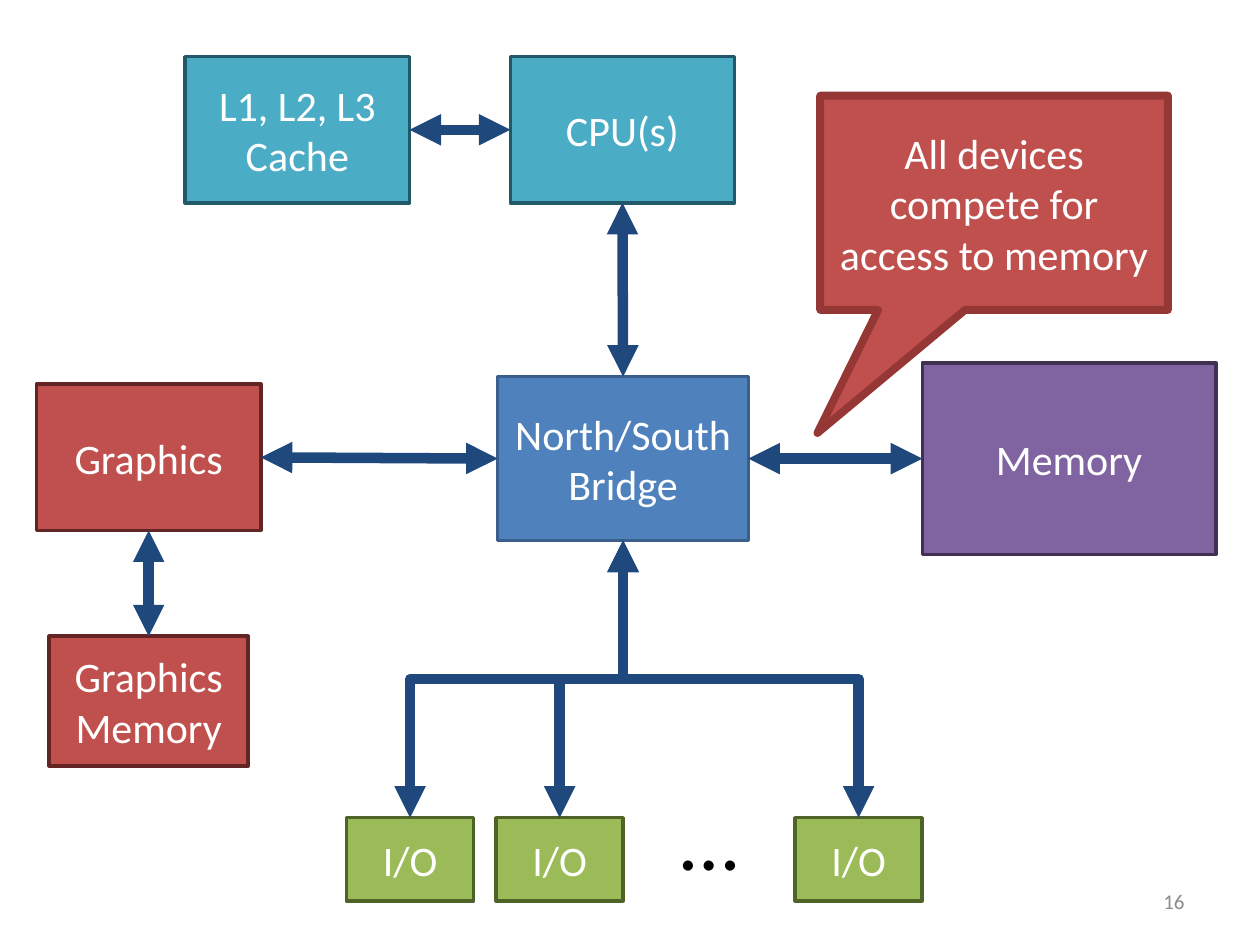
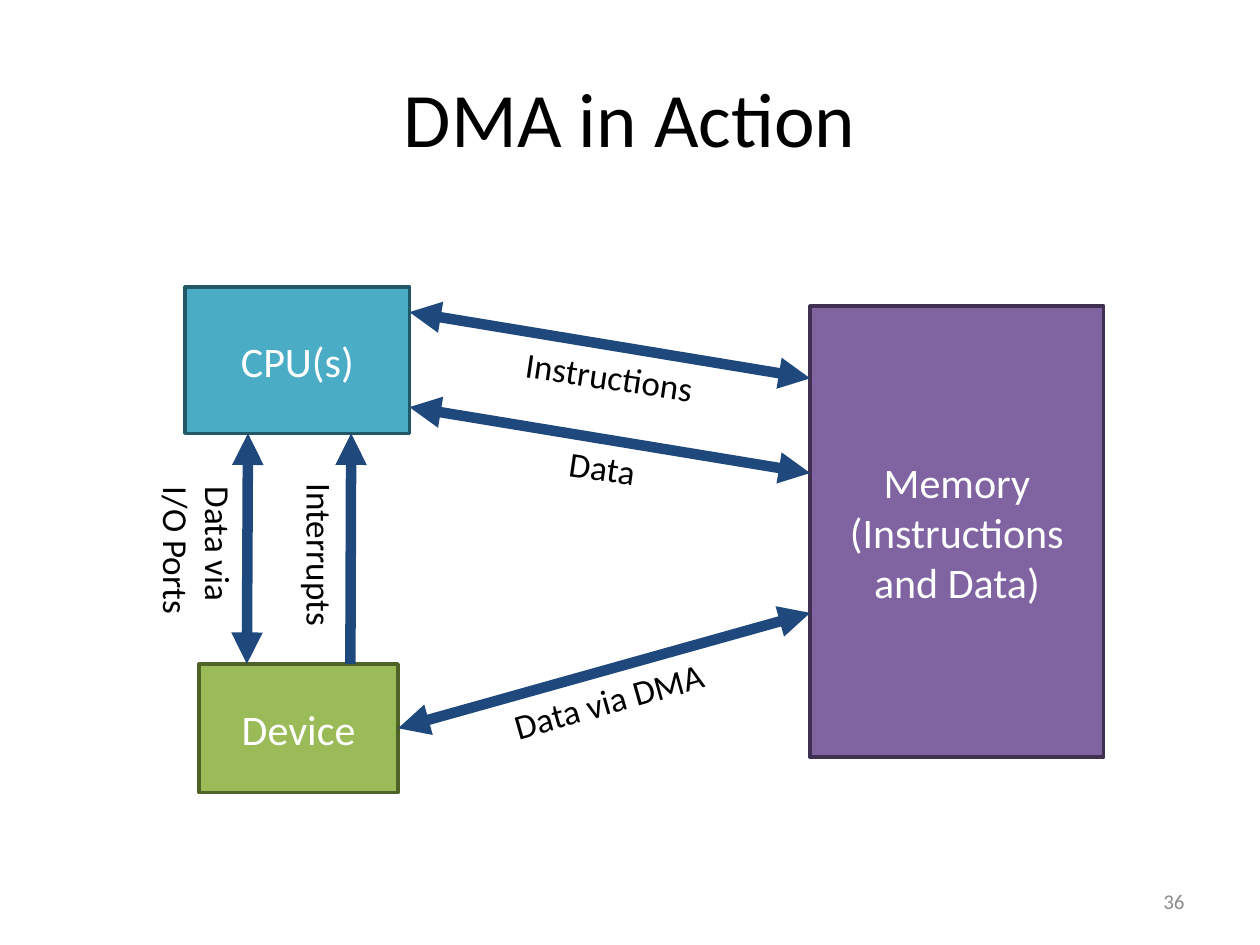
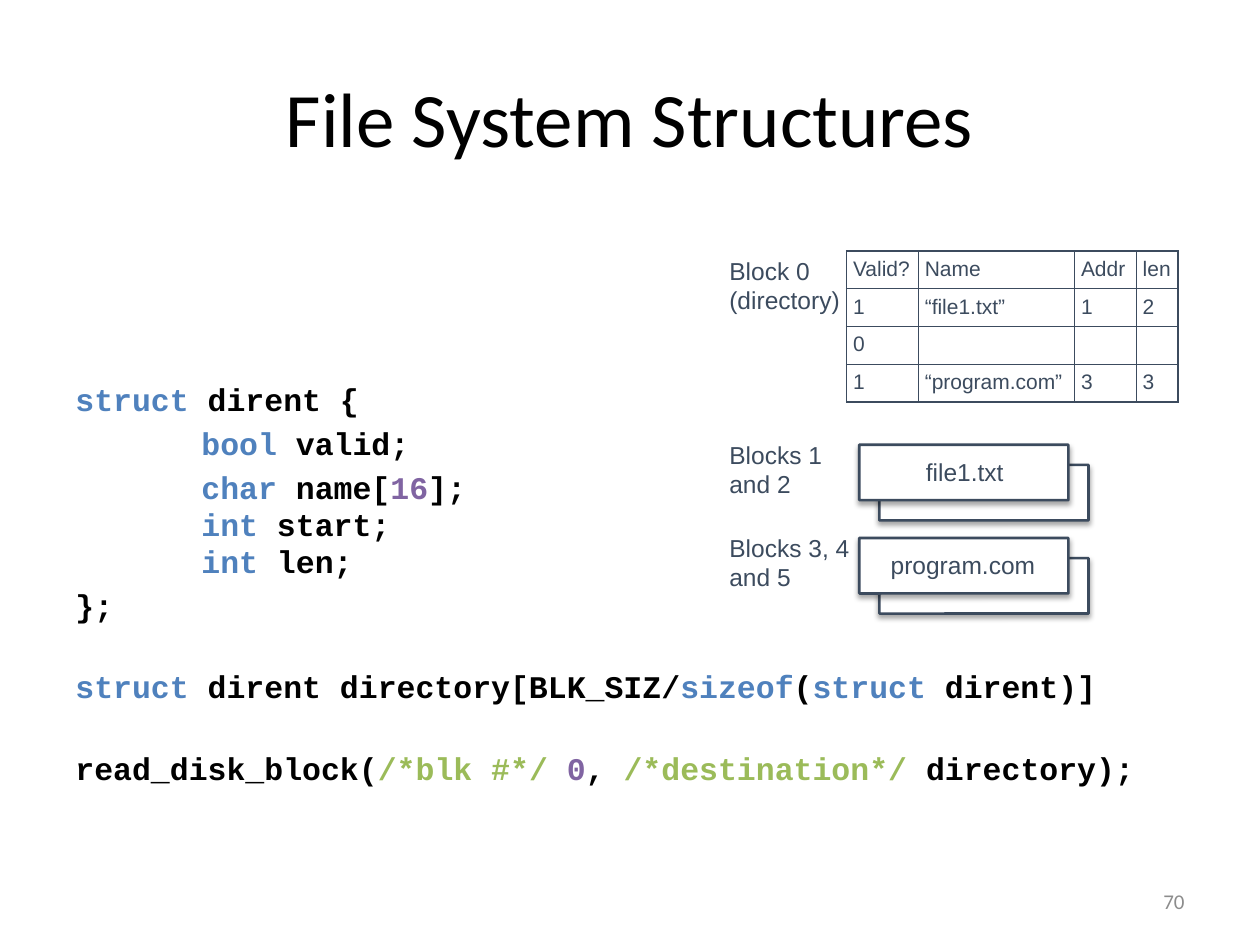
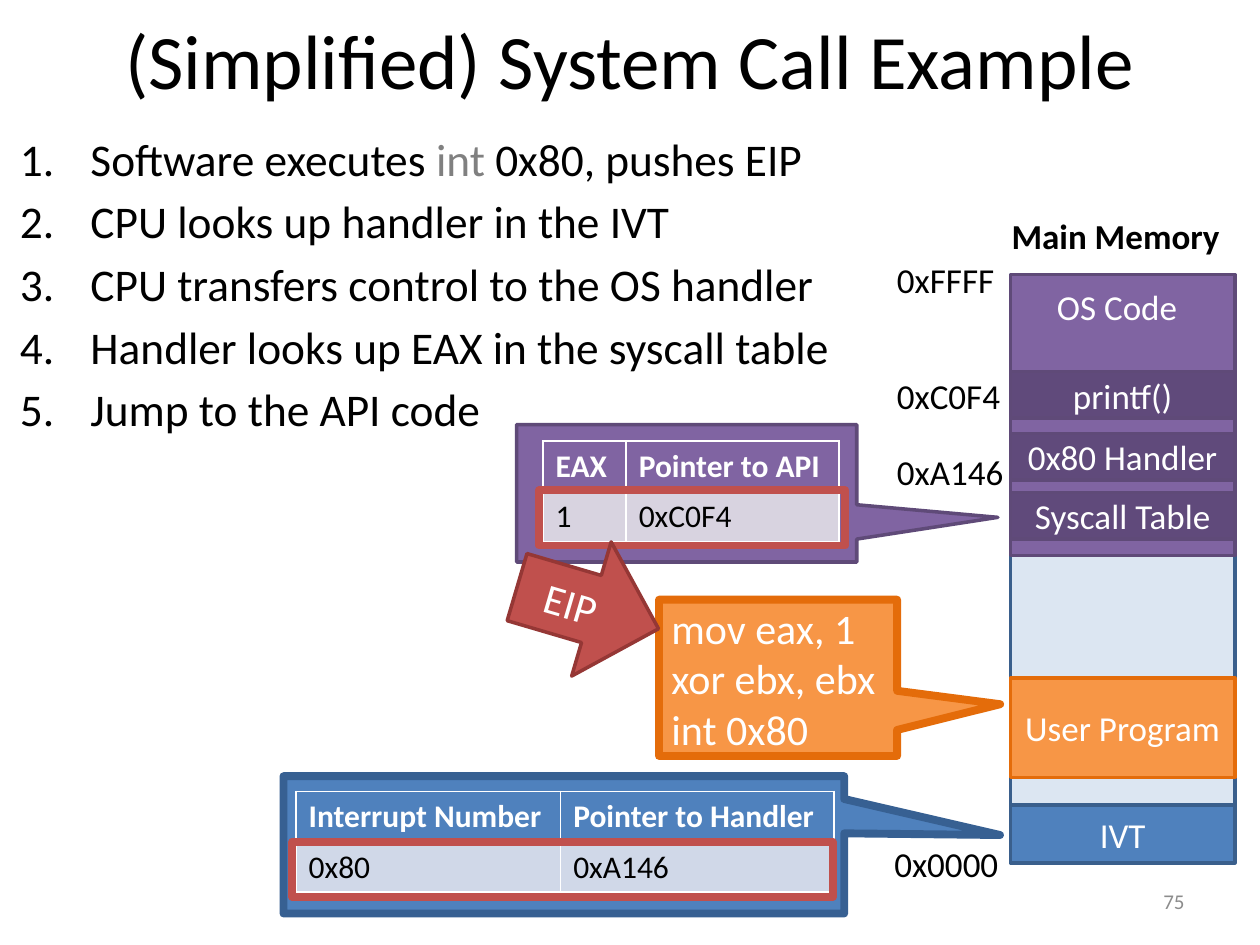
from dataclasses import dataclass

from lxml import etree
from pptx import Presentation
from pptx.dml.color import RGBColor
from pptx.enum.shapes import MSO_CONNECTOR, MSO_SHAPE
from pptx.enum.text import MSO_ANCHOR, PP_ALIGN
from pptx.oxml.ns import qn
from pptx.util import Emu, Pt

RECT = MSO_SHAPE.RECTANGLE
ROUND = MSO_SHAPE.ROUNDED_RECTANGLE
BUBBLE = MSO_SHAPE.RECTANGULAR_CALLOUT
ARROW = MSO_SHAPE.RIGHT_ARROW
STRAIGHT, ELBOW = MSO_CONNECTOR.STRAIGHT, MSO_CONNECTOR.ELBOW
LEFT, CENTER, RIGHT = PP_ALIGN.LEFT, PP_ALIGN.CENTER, PP_ALIGN.RIGHT
TOP, MIDDLE = MSO_ANCHOR.TOP, MSO_ANCHOR.MIDDLE

PX = 9144  # 100 px to the inch


@dataclass(frozen=True)
class Theme:
    # fill and line pairs
    hub: tuple = ("4F81BD", "3A5F8C")
    red: tuple = ("C0504D", "632523")
    alert: tuple = ("C0504D", "953735")
    green: tuple = ("9BBB59", "4F6228")
    purple: tuple = ("8064A2", "403152")
    teal: tuple = ("4BACC6", "215968")
    kernel: tuple = ("8064A2", "5F4A78")
    entry: tuple = ("604A7B", "5F4A78")
    user: tuple = ("F79646", "E46C0A")
    free: tuple = ("DCE6F2", "3A5F8C")
    vector: tuple = ("4F81BD", "376092")
    disk: tuple = ("FFFFFF", "3C4B5E")
    mark: tuple = (None, "C0504D")
    # single colours
    ink: str = "000000"
    white: str = "FFFFFF"
    grey: str = "808080"
    folio: str = "8C8C8C"
    slate: str = "3C4B5E"
    wire: str = "1F497D"
    word: str = "4F81BD"
    number: str = "8064A2"
    note: str = "9BBB59"
    blue_row: str = "D0D8E8"
    plum_row: str = "D8D3E0"
    # fonts
    main: str = "Calibri"
    sans: str = "Arial"
    mono: str = "Courier New"
    # type sizes, points
    title: float = 44
    dots: float = 48
    list: float = 25.9
    box: float = 24
    label: float = 20
    code: float = 18
    block: float = 14
    small: float = 12
    # line widths, points
    thin: float = 1
    edge: float = 2
    bold: float = 4.5
    cable: float = 6


T = Theme()


def emu(*sizes):
    return [Emu(round(size * PX)) for size in sizes]


def rgb(color):
    return RGBColor.from_string(color)


def part(box, dx, dy, w, h):
    """Box of the given size, offset from the corner of another."""
    return box[0] + dx, box[1] + dy, w, h


def spot(box, fx, fy):
    """Point at a fraction of the width and height of a box."""
    return box[0] + box[2] * fx, box[1] + box[3] * fy


def write(frame, paras, size=T.box, color=T.white, font=T.main, bold=False,
          align=CENTER, anchor=MIDDLE):
    """Fill a frame; a paragraph is a string or a list of (text, colour)."""
    frame.vertical_anchor = anchor
    for i, runs in enumerate(paras):
        para = frame.paragraphs[0] if i == 0 else frame.add_paragraph()
        para.alignment = align
        for text, tint in [(runs, color)] if isinstance(runs, str) else runs:
            run = para.add_run()
            run.text = text
            run.font.name, run.font.size = font, Pt(size)
            run.font.bold = bold
            run.font.color.rgb = rgb(tint)
    return frame.paragraphs


def label(slide, box, *paras, turn=0, wrap=False, size=T.label, color=T.ink,
          align=LEFT, anchor=TOP, **look):
    shape = slide.shapes.add_textbox(*emu(*box))
    shape.rotation = turn
    shape.text_frame.word_wrap = wrap
    return write(shape.text_frame, paras, size, color, align=align,
                 anchor=anchor, **look)


def block(slide, box, pair, *paras, kind=RECT, edge=T.edge, adj=(), turn=0,
          **look):
    shape = slide.shapes.add_shape(kind, *emu(*box))
    shape.shadow.inherit = False
    shape.rotation = turn
    for i, value in enumerate(adj):
        shape.adjustments[i] = value
    fill, line = pair
    if fill:
        shape.fill.solid()
        shape.fill.fore_color.rgb = rgb(fill)
    else:
        shape.fill.background()
    shape.line.color.rgb = rgb(line)
    shape.line.width = Pt(edge)
    write(shape.text_frame, paras, **look)
    return shape


def cable(slide, kind, start, end, ends=("headEnd", "tailEnd")):
    link = slide.shapes.add_connector(kind, *emu(*start, *end))
    link.line.color.rgb = rgb(T.wire)
    link.line.width = Pt(T.cable)
    props = link._element.spPr
    for name in ends:
        etree.SubElement(props.find(qn("a:ln")), qn("a:" + name),
                         type="triangle")
    etree.SubElement(props, qn("a:effectLst"))
    return link


def wire(slide, start, end, **look):
    cable(slide, STRAIGHT, start, end, **look)


def branch(slide, start, end):
    """Elbow that leaves and arrives upright: a turned level elbow."""
    (x0, y0), (x1, y1) = start, end
    mid, half = (x0 + x1) / 2, (y1 - y0) / 2
    top, drop = (y0 + y1) / 2, abs(x1 - x0) / 2
    side = half if x1 < x0 else -half
    link = cable(slide, ELBOW, (mid - side, top - drop),
                 (mid + side, top + drop))
    angle = 90 if x1 < x0 else 270
    link._element.spPr.find(qn("a:xfrm")).set("rot", str(angle * 60000))


def rule(cell, side, color, width):
    props = cell._tc.get_or_add_tcPr()
    line = etree.SubElement(props, qn("a:ln" + side), w=str(Pt(width)))
    fill = etree.SubElement(line, qn("a:solidFill"))
    etree.SubElement(fill, qn("a:srgbClr"), val=color)


def grid(slide, spot_at, rows, widths, tall, style, line, base=T.thin,
         inset=None, **look):
    """Table; style gives (fill, text colour, bold) of the head and the rest."""
    x, y = spot_at
    frame = slide.shapes.add_table(
        len(rows), len(widths), *emu(x, y, sum(widths), tall * len(rows)))
    table = frame.table
    table.first_row = table.horz_banding = False
    for col, width in zip(table.columns, widths):
        col.width = emu(width)[0]
    for r, row in enumerate(rows):
        table.rows[r].height = emu(tall)[0]
        fill, color, bold = style[min(r, 1)]
        for c, text in enumerate(row):
            cell = table.cell(r, c)
            for side in "LRT":
                rule(cell, side, line, T.thin)
            rule(cell, "B", line, T.thin if r else base)
            cell.fill.solid()
            cell.fill.fore_color.rgb = rgb(fill)
            if inset:
                cell.margin_left = cell.margin_right = emu(inset)[0]
                cell.margin_top = cell.margin_bottom = emu(inset)[0]
            if text:
                write(cell.text_frame, [text], color=color, bold=bold,
                      align=LEFT, anchor=TOP, **look)
            else:
                etree.SubElement(cell.text_frame.paragraphs[0]._p,
                                 qn("a:endParaRPr"),
                                 sz=str(look["size"] * 100))


def start(deck, number, title=None, box=(50, 30, 900, 125)):
    """New slide with its page number and, if given, its title."""
    slide = deck.slides.add_slide(deck.slide_layouts[5 if title else 6])
    if title:
        head = slide.shapes.title
        head.left, head.top, head.width, head.height = emu(*box)
        write(head.text_frame, [title], T.title, T.ink)
    label(slide, (717, 695, 233, 40), str(number), wrap=True, size=T.small,
          color=T.folio, align=RIGHT, anchor=MIDDLE)
    return slide


# Bridge map

def chips(slide, box):
    """Cache and CPU side by side; returns the CPU box."""
    cache = part(box, 0, 0, 178, box[3])
    cpu = part(box, box[2] - 178, 0, 178, box[3])
    block(slide, cache, T.teal, "L1, L2, L3 Cache")
    block(slide, cpu, T.teal, "CPU(s)")
    wire(slide, spot(cpu, 0, .5), spot(cache, 1, .5))
    return cpu


def video(slide, box):
    """Graphics above its memory; returns the graphics box."""
    card = part(box, 0, 0, box[2], 116)
    store = part(box, 10, box[3] - 103, 158, 103)
    block(slide, card, T.red, "Graphics")
    block(slide, store, T.red, "Graphics Memory")
    wire(slide, spot(store, .5, 0), spot(card, .5, 1))
    return card


def ports(slide, box, root):
    """Four even slots, the third an ellipsis, fed from the root point."""
    wide = 101
    step = (box[2] - wide) / 3
    for i in range(4):
        slot = part(box, i * step, 0, wide, box[3])
        if i == 2:
            label(slide, part(slot, 0, -18, wide, box[3]), "…", wrap=True,
                  size=T.dots, align=CENTER, anchor=MIDDLE)
        else:
            block(slide, slot, T.green, "I/O")
            branch(slide, root, spot(slot, .5, 0))


def bridge(deck):
    slide = start(deck, 16)
    hub, memory = (395, 299, 199, 130), (732, 288, 233, 152)
    block(slide, hub, T.hub, "North/South Bridge")
    block(slide, memory, T.purple, "Memory")
    cpu = chips(slide, (147, 45, 436, 116))
    card = video(slide, (29, 305, 178, 303))
    wire(slide, spot(cpu, .5, 1), spot(hub, .5, 0))
    wire(slide, spot(memory, 0, .5), spot(hub, 1, .5))
    wire(slide, spot(hub, 0, .5), spot(card, 1, .5))
    ports(slide, (275, 649, 457, 66), spot(hub, .5, 1))
    block(slide, (651, 76, 276, 170), T.alert,
          "All devices compete for access to memory",
          kind=BUBBLE, edge=T.bold, adj=(-.508, 1.075))


# DMA

def flow(slide, box):
    cpu = part(box, 0, 0, 178, 116)
    device = part(box, 11, 299, 158, 102)
    memory = part(box, box[2] - 233, 15, 233, 358)
    block(slide, device, T.green, "Device")
    block(slide, memory, T.purple, "Memory", "(Instructions and Data)")
    block(slide, cpu, T.teal, "CPU(s)")
    wire(slide, spot(device, 1, .5), spot(memory, 0, .68))
    for far, near in ((.16, .17), (.37, .82)):
        wire(slide, spot(memory, 0, far), spot(cpu, 1, near))
    wire(slide, spot(device, .76, 0), spot(cpu, .74, 1), ends=("tailEnd",))
    wire(slide, spot(device, .24, 0), spot(cpu, .28, 1))
    for place, turn, *text in (
            ((249, 306, 176, 44), -15.8, "Data via DMA"),
            ((-51, 171, 122, 77), 90, "Data via", "I/O Ports"),
            ((40, 191, 134, 44), 90, "Interrupts"),
            ((295, 121, 73, 44), 8.2, "Data"),
            ((260, 49, 155, 44), 8.4, "Instructions")):
        label(slide, part(box, *place), *text, turn=turn)


def dma(deck):
    flow(start(deck, 36, "DMA in Action"), (147, 228, 729, 401))


# File system

def listing(slide, box):
    word, number, note, ink = T.word, T.number, T.note, T.ink
    tab, gap, wide = 100, 3.6, 25
    lines = (
        (0, 0, [("struct ", word), ("dirent {", ink)]),
        (tab, gap, [("bool ", word), ("valid;", ink)]),
        (tab, gap, [("char ", word), ("name[", ink), ("16", number),
                    ("];", ink)]),
        (tab, 0, [("int ", word), ("start;", ink)]),
        (tab, 0, [("int ", word), ("len;", ink)]),
        (0, gap, [("};", ink)]),
        (0, wide, [("struct ", word), ("dirent directory[BLK_SIZ/", ink),
                   ("sizeof", word), ("(", ink), ("struct ", word),
                   ("dirent)]", ink)]),
        (0, wide, [("read_disk_block(", ink), ("/*blk #*/ ", note),
                   ("0", number), (", ", ink), ("/*destination*/ ", note),
                   ("directory);", ink)]),
    )
    paras = label(slide, box, *(runs for _, _, runs in lines), wrap=True,
                  size=T.code, font=T.mono, bold=True)
    for para, (indent, space, _) in zip(paras, lines):
        para.line_spacing = Pt(21.4)
        para.space_before = Pt(space)
        para._p.get_or_add_pPr().set("marL", str(indent * PX))


def sheet(slide, box):
    shape = block(slide, box, T.disk, kind=ROUND, edge=1.5, adj=(.001,))
    glow = etree.SubElement(
        shape._element.spPr.find(qn("a:effectLst")), qn("a:outerShdw"),
        blurRad=str(Pt(3.1)), dist=str(Pt(1.8)), dir="5400000",
        rotWithShape="0")
    color = etree.SubElement(glow, qn("a:srgbClr"), val=T.ink)
    etree.SubElement(color, qn("a:alpha"), val="35000")


def caption(slide, box, text):
    label(slide, box, text, wrap=True, size=T.block, color=T.slate,
          font=T.sans)


def stack(slide, box, text, name, inset, wide):
    """Two sheets with a file name, and the block numbers to their left."""
    for shift in (16, 0):
        sheet(slide, part(box, 113 + shift, 9 + shift, 166, 44))
    label(slide, part(box, inset, 14, wide, 34), name, size=T.block,
          color=T.slate, font=T.sans)
    caption(slide, part(box, 0, 0, 121, 57), text)


def disk(slide, box):
    rows = (("Valid?", "Name", "Addr", "len"),
            ("1", "“file1.txt”", "1", "2"),
            ("0", "", "", ""),
            ("1", "“program.com”", "3", "3"))
    grid(slide, (box[0] + 103, box[1] + 1), rows, (57, 124, 49, 33), 29,
         ((T.white, T.slate, False),) * 2, T.slate, inset=5, size=T.small,
         font=T.sans)
    caption(slide, part(box, 0, 0, 121, 57), "Block 0 (directory)")
    stack(slide, part(box, 0, 146, 295, 69), "Blocks 1 and 2", "file1.txt",
          156, 83)
    stack(slide, part(box, 0, 220, 295, 69), "Blocks 3, 4 and 5",
          "program.com", 128, 141)


def files(deck):
    slide = start(deck, 70, "File System Structures")
    listing(slide, (50, 297, 900, 421))
    disk(slide, (569, 198, 366, 289))


# System call

def steps(slide, box):
    lines = (
        [("Software executes ", T.ink), ("int", T.grey),
         (" 0x80, pushes EIP", T.ink)],
        "CPU looks up handler in the IVT",
        "CPU transfers control to the OS handler",
        "Handler looks up EAX in the syscall table",
        "Jump to the API code",
    )
    for para in label(slide, box, *lines, wrap=True, size=T.list):
        para.space_before = Pt(4.7)
        props = para._p.get_or_add_pPr()
        props.set("marL", str(56 * PX))
        props.set("indent", str(-56 * PX))
        etree.SubElement(props, qn("a:buFont"), typeface="+mj-lt")
        etree.SubElement(props, qn("a:buAutoNum"), type="arabicPeriod")


def lookup(slide, box, pair, edge, adj, rows, widths, offset, tint, mark):
    """Callout that holds a two-row table with its lower row marked."""
    block(slide, box, pair, kind=BUBBLE, edge=edge, adj=adj)
    grid(slide, (box[0] + offset[0], box[1] + offset[1]), rows, widths, 40,
         ((pair[0], T.white, True), (tint, T.ink, False)), T.white, base=3,
         size=T.code)
    block(slide, part(box, *mark), T.mark, edge=T.bold)


def memory(slide, box):
    wide = box[2]
    for top, tall, pair, *text in (
            (0, box[3], T.free),
            (421, 46, T.hub, "IVT"),
            (0, 223, T.kernel),
            (77, 37, T.entry, "printf()"),
            (126, 37, T.entry, "0x80 Handler"),
            (173, 37, T.entry, "Syscall Table"),
            (320, 79, T.user, "User Program")):
        block(slide, part(box, 0, top, wide, tall), pair, *text,
              size=T.label)
    label(slide, part(box, 27, 4, 116, 44), "OS Code", color=T.white)
    label(slide, part(box, -9, -53, 187, 44), "Main Memory", bold=True)
    for left, top, span, text in (
            (-100, -18, 98, "0xFFFF"), (-100, 74, 103, "0xC0F4"),
            (-100, 135, 105, "0xA146"), (-102, 446, 103, "0x0000")):
        label(slide, part(box, left, top, span, 44), text)


def syscall(deck):
    slide = start(deck, 75, "(Simplified) System Call Example",
                  (50, 0, 900, 93))
    lookup(slide, (225, 616, 445, 109), T.vector, T.bold, (.778, -.071),
           (("Interrupt Number", "Pointer to Handler"), ("0x80", "0xA146")),
           (210, 217), (10, 12), T.blue_row, (7, 52, 429, 44))
    memory(slide, (802, 218, 178, 465))
    block(slide, (523, 476, 189, 124), T.user, "mov eax, 1", "xor ebx, ebx",
          "int 0x80", kind=BUBBLE, edge=T.bold, adj=(.933, .169), align=LEFT)
    steps(slide, (6, 99, 668, 265))
    lookup(slide, (410, 337, 270, 109), T.kernel, T.edge, (.915, .175),
           (("EAX", "Pointer to API"), ("1", "0xC0F4")),
           (66, 169), (21, 13), T.plum_row, (18, 52, 243, 44))
    block(slide, (408, 427, 117, 111), T.alert, "EIP", kind=ARROW, turn=16.4)


def main():
    deck = Presentation()
    deck.slide_width, deck.slide_height = emu(1000, 750)
    for build in (bridge, dma, files, syscall):
        build(deck)
    deck.save("out.pptx")


if __name__ == "__main__":
    main()
